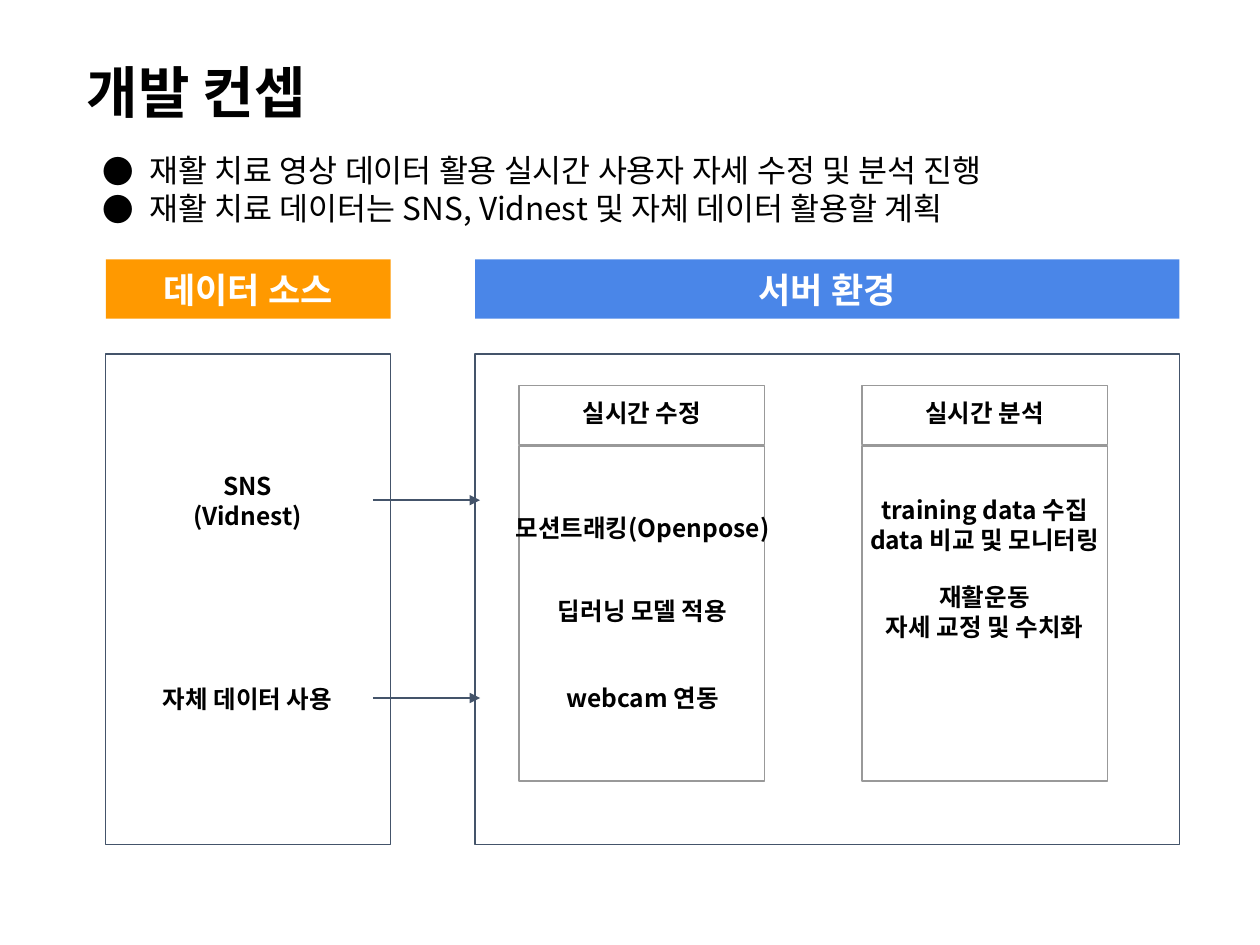
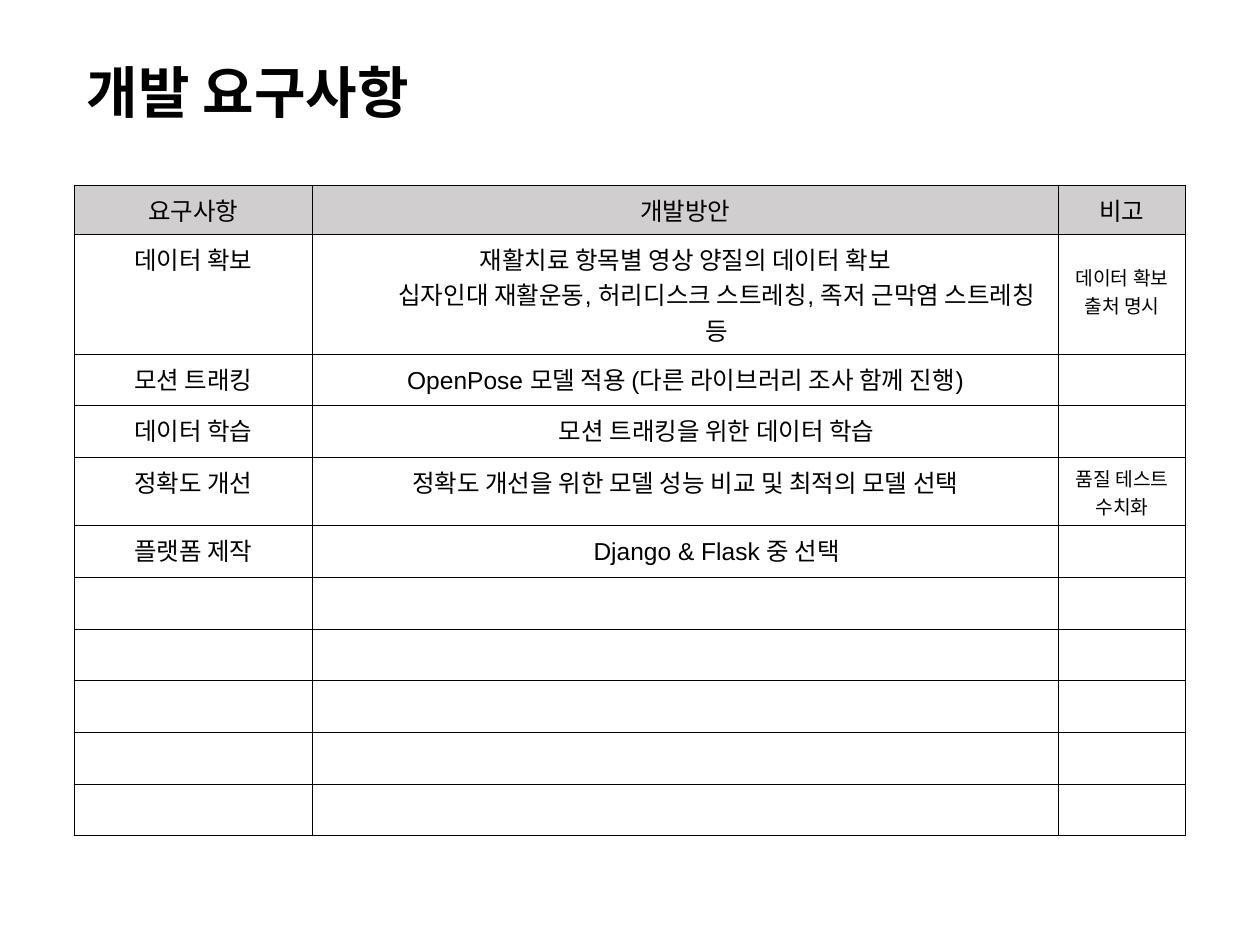
from pptx import Presentation
from pptx.dml.color import RGBColor
from pptx.enum.shapes import MSO_CONNECTOR, MSO_SHAPE
from pptx.enum.text import MSO_ANCHOR as ANCHOR, MSO_AUTO_SIZE as AUTO, PP_ALIGN as ALIGN
from pptx.oxml.ns import qn
from pptx.util import Inches, Pt
from lxml.etree import SubElement

SANS = "Noto Sans CJK KR"
BLACK, WHITE = "000000", "FFFFFF"
ORANGE, BLUE = "FF9900", "4A86E8"
NAVY, GRAY, HEADER = "44546A", "999999", "D0CECE"
TITLE_ONLY, TITLE_BODY = 5, 1


def rgb(color):
    return RGBColor.from_string(color)


class Deck:
    """Holds the shared style and the slide being built."""

    def __init__(self):
        self.prs = Presentation()
        self.prs.slide_width, self.prs.slide_height = Inches(10), Inches(7.5)
        self.slide = None

    def new_slide(self, layout, title, width):
        self.slide = self.prs.slides.add_slide(self.prs.slide_layouts[layout])
        sp = self.slide.shapes.title
        self.place(sp, 0.59, 0.52, width, 0.47)
        self.fill_text(sp.text_frame, [title], 32, bold=True, align=ALIGN.LEFT, pad=0.05)
        sp.text_frame.paragraphs[0].line_spacing = 0.9

    def place(self, sp, x, y, w, h):
        sp.left, sp.top, sp.width, sp.height = map(Inches, (x, y, w, h))

    def style(self, p, size, color=BLACK, bold=False, align=ALIGN.CENTER, font=SANS):
        p.alignment = align
        for r in p.runs:
            r.font.size, r.font.bold, r.font.name = Pt(size), bold, font
            r.font.color.rgb = rgb(color)
            # Hangul uses the East Asian font slot
            SubElement(r.font._element, qn("a:ea"), typeface=SANS)

    def fill_text(self, tf, lines, size, color=BLACK, bold=False, align=ALIGN.CENTER,
                  anchor=ANCHOR.MIDDLE, pad=0.1):
        tf.text = "\n".join(lines)
        tf.word_wrap, tf.auto_size, tf.vertical_anchor = True, AUTO.NONE, anchor
        tf.margin_left = tf.margin_right = Inches(0.1)
        tf.margin_top = tf.margin_bottom = Inches(pad)
        for p in tf.paragraphs:
            self.style(p, size, color, bold, align)

    def bullets(self, lines, x, y, w, h):
        sp = self.slide.placeholders[1]
        self.place(sp, x, y, w, h)
        self.fill_text(sp.text_frame, lines, 18, align=ALIGN.LEFT, anchor=ANCHOR.TOP, pad=0.05)
        for p in sp.text_frame.paragraphs:
            p.space_before = Pt(0)
            pPr = p._p.get_or_add_pPr()
            pPr.set("marL", str(Inches(0.5)))
            pPr.set("indent", str(-Inches(0.38)))
            SubElement(SubElement(pPr, qn("a:buClr")), qn("a:srgbClr"), val=BLACK)
            SubElement(pPr, qn("a:buFont"), typeface=SANS)
            SubElement(pPr, qn("a:buChar"), char="●")

    def box(self, x, y, w, h, fill=None, line=None):
        sp = self.slide.shapes.add_shape(MSO_SHAPE.RECTANGLE, *map(Inches, (x, y, w, h)))
        sp.shadow.inherit = False
        if fill:
            sp.fill.solid()
            sp.fill.fore_color.rgb = rgb(fill)
        else:
            sp.fill.background()
        if line:
            sp.line.color.rgb, sp.line.width = rgb(line), Pt(0.75)
        else:
            sp.line.fill.background()
        return sp

    def band(self, text, x, y, w, h, fill):
        self.fill_text(self.box(x, y, w, h, fill=fill).text_frame, [text], 20, WHITE, True)

    def label(self, lines, x, y, w, h, anchor=ANCHOR.MIDDLE):
        sp = self.slide.shapes.add_textbox(*map(Inches, (x, y, w, h)))
        self.fill_text(sp.text_frame, lines, 14, bold=True, anchor=anchor)

    def arrow(self, x1, x2, y):
        c = self.slide.shapes.add_connector(MSO_CONNECTOR.STRAIGHT, *map(Inches, (x1, y, x2, y)))
        c.line.color.rgb, c.line.width = rgb(NAVY), Pt(1.5)
        SubElement(c.line._get_or_add_ln(), qn("a:tailEnd"), type="triangle")
        SubElement(c._element.spPr, qn("a:effectLst"))

    def table(self, x, y, widths, heights):
        table = self.slide.shapes.add_table(
            len(heights), len(widths),
            *map(Inches, (x, y, sum(widths), sum(heights)))).table
        table.first_row = table.horz_banding = False
        for col, w in zip(table.columns, widths):
            col.width = Inches(w)
        for row, h in zip(table.rows, heights):
            row.height = Inches(h)
        for cell in table.iter_cells():
            self.cell_border(cell)
            cell.fill.background()
        return table

    def cell_border(self, cell):
        tcPr = cell._tc.get_or_add_tcPr()
        for side in ("lnL", "lnR", "lnT", "lnB"):
            ln = SubElement(tcPr, qn("a:" + side), w=str(Pt(0.75)))
            SubElement(SubElement(ln, qn("a:solidFill")), qn("a:srgbClr"), val=BLACK)

    def cell_text(self, cell, lines, size=14, indented=()):
        cell.text = "\n".join(lines)
        for i, p in enumerate(cell.text_frame.paragraphs):
            self.style(p, size, font="Arial")
            if i in indented:
                p._p.get_or_add_pPr().set("marL", str(Inches(0.5)))


deck = Deck()

# Slide 1: development concept
deck.new_slide(TITLE_BODY, "개발 컨셉", 2.26)
deck.bullets(["재활 치료 영상 데이터 활용 실시간 사용자 자세 수정 및 분석 진행",
              "재활 치료 데이터는 SNS, Vidnest 및 자체 데이터 활용할 계획"],
             0.59, 1.15, 8.77, 0.71)

# Two columns, each a band above a frame
for heading, x, w, color in (("데이터 소스", 0.84, 2.26, ORANGE),
                             ("서버 환경", 3.77, 5.59, BLUE)):
    deck.band(heading, x, 2.06, w, 0.47, color)
    deck.box(x, 2.81, w, 3.89, line=NAVY)

# Data sources, each with an arrow to the server
for lines, y in ((["SNS", "(Vidnest)"], 3.49), (["자체 데이터 사용"], 5.06)):
    deck.label(lines, 1.08, y, 1.77, 0.97)
    deck.arrow(2.96, 3.81, y + 0.48)

# Server modules
for heading, x in (("실시간 수정", 4.12), ("실시간 분석", 6.84)):
    sp = deck.box(x, 3.06, 1.95, 0.47, line=GRAY)
    deck.fill_text(sp.text_frame, [heading], 14, bold=True, anchor=ANCHOR.TOP)
    deck.box(x, 3.54, 1.95, 2.66, line=GRAY)

deck.label(["모션트래킹(Openpose)"], 3.91, 3.97, 2.38, 0.38, ANCHOR.TOP)
for i, step in enumerate(("딥러닝 모델 적용", "webcam 연동")):
    deck.label([step], 3.91, 4.66 + 0.69 * i, 2.38, 0.38)
for i, lines in enumerate((["training data 수집", "data 비교 및 모니터링"],
                           ["재활운동", "자세 교정 및 수치화"])):
    deck.label(lines, 6.4, 3.81 + 0.69 * i, 2.83, 0.71)

# Slide 2: development requirements
deck.new_slide(TITLE_ONLY, "개발 요구사항", 5.73)
table = deck.table(0.59, 1.47, [1.89, 5.92, 1.01],
                   [0.39, 0.94, 0.41, 0.41, 0.54] + [0.41] * 6)

for col, heading in enumerate(("요구사항", "개발방안", "비고")):
    cell = table.cell(0, col)
    deck.cell_text(cell, [heading])
    cell.fill.solid()
    cell.fill.fore_color.rgb = rgb(HEADER)

# Requirement, plan lines, indented plan lines, note
requirements = [
    ("데이터 확보",
     ["재활치료 항목별 영상 양질의 데이터 확보",
      "십자인대 재활운동, 허리디스크 스트레칭, 족저 근막염 스트레칭 등"],
     [1], "데이터 확보 출처 명시"),
    ("모션 트래킹", ["OpenPose 모델 적용 (다른 라이브러리 조사 함께 진행)"], [], ""),
    ("데이터 학습", ["모션 트래킹을 위한 데이터 학습"], [0], ""),
    ("정확도 개선", ["정확도 개선을 위한 모델 성능 비교 및 최적의 모델 선택"], [],
     "품질 테스트 수치화"),
    ("플랫폼 제작", ["Django & Flask 중 선택"], [0], ""),
]
for row, (name, plan, indented, note) in enumerate(requirements, 1):
    deck.cell_text(table.cell(row, 0), [name])
    deck.cell_text(table.cell(row, 1), plan, indented=indented)
    if note:
        deck.cell_text(table.cell(row, 2), [note], 11)
table.cell(1, 2).margin_top = Inches(0.23)

deck.prs.save("out.pptx")
